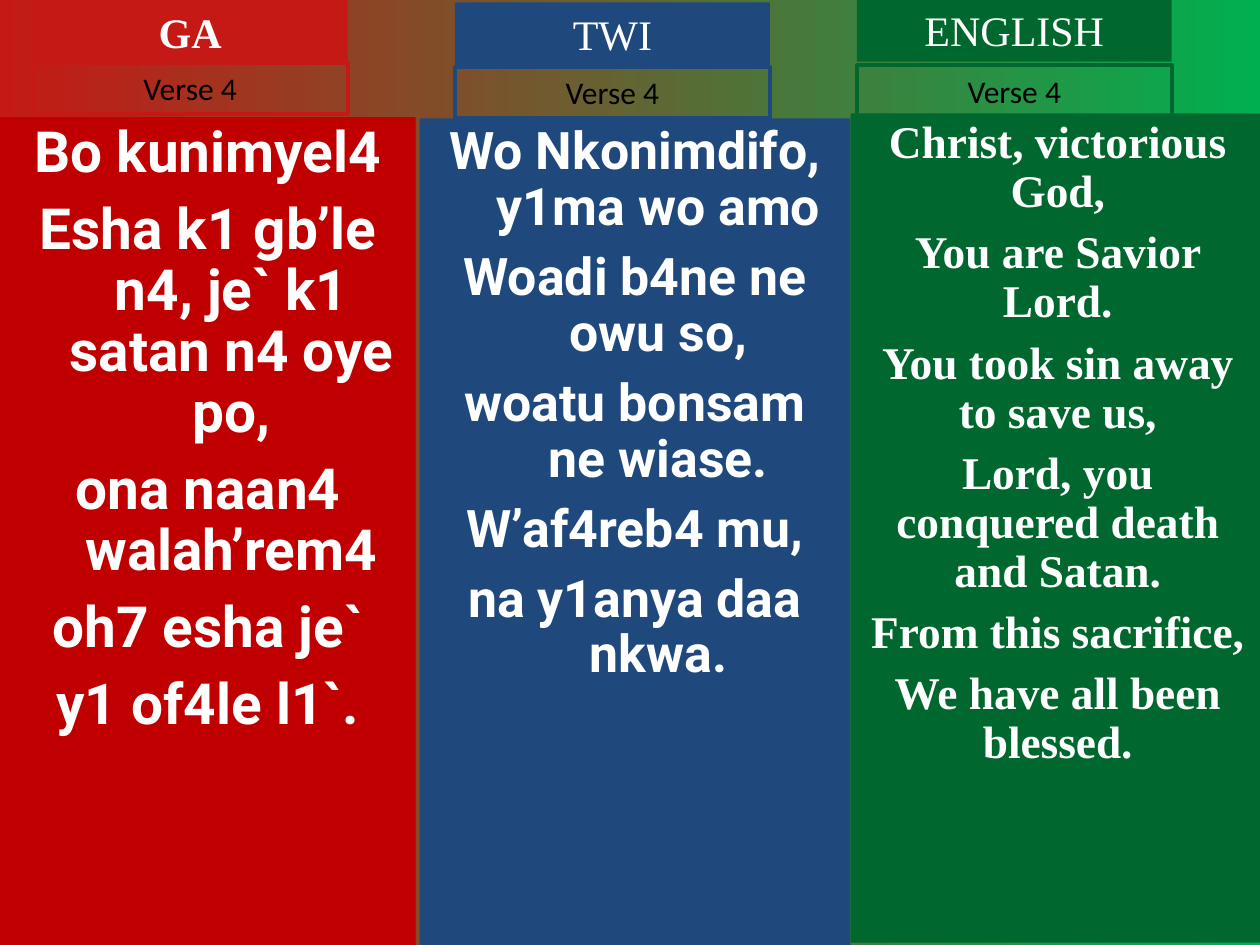
from pptx import Presentation
from pptx.dml.color import RGBColor
from pptx.enum.shapes import MSO_SHAPE
from pptx.enum.text import MSO_ANCHOR, MSO_AUTO_SIZE, PP_ALIGN
from pptx.util import Pt

HUES = {
    "red": "C51915", "deep": "C00000", "blue": "1F497D",
    "green": "00682F", "lime": "00B050", "white": "FFFFFF", "black": "000000",
}
SERIF = "Times New Roman"


class Deck:
    def __init__(self):
        self.prs = Presentation()
        self.prs.slide_width, self.prs.slide_height = Pt(720), Pt(540)
        self.slide = self.prs.slides.add_slide(self.prs.slide_layouts[6])

    def hue(self, name):
        return RGBColor.from_string(HUES[name])

    def back(self, start, end):
        fill = self.slide.background.fill
        fill.gradient()
        fill.gradient_angle = 0
        for stop, name, place in zip(fill.gradient_stops, (start, end), (0, 1)):
            stop.color.rgb = self.hue(name)
            stop.position = place

    def box(self, area, text, font, size, ink="white", bold=False, fill=None, line=None):
        shape = self.slide.shapes.add_shape(MSO_SHAPE.RECTANGLE, *map(Pt, area))
        shape.shadow.inherit = False
        if fill:
            shape.fill.solid()
            shape.fill.fore_color.rgb = self.hue(fill)
        else:
            shape.fill.background()
        if line:
            shape.line.color.rgb = self.hue(line)
            shape.line.width = Pt(2.25)
        else:
            shape.line.fill.background()
        frame = shape.text_frame
        frame.word_wrap = True
        frame.vertical_anchor = MSO_ANCHOR.TOP
        frame.text = text
        for para in frame.paragraphs:
            para.alignment = PP_ALIGN.CENTER
            for run in para.runs:
                run.font.name, run.font.size, run.font.bold = font, Pt(size), bold
                run.font.color.rgb = self.hue(ink)
        return frame

    def title(self, left, top, text, fill, bold):
        frame = self.box((left, top, 180, 36), text, SERIF, 24, bold=bold, fill=fill)
        frame.auto_size = MSO_AUTO_SIZE.SHAPE_TO_FIT_TEXT

    def label(self, left, top, text, line):
        frame = self.box((left, top, 180, 29), text, "Calibri", 18, ink="black", line=line)
        frame.auto_size = MSO_AUTO_SIZE.SHAPE_TO_FIT_TEXT

    def verse(self, area, lines, fill, font, size, gap, hang):
        frame = self.box(area, "\n".join(lines), font, size, bold=True, fill=fill)
        for num, para in enumerate(frame.paragraphs):
            para.line_spacing = 0.9
            para.space_before = Pt(gap if num else 0)
            props = para._p.get_or_add_pPr()
            props.set("marL", str(Pt(hang)))
            props.set("indent", str(Pt(-hang)))


GA = ["Bo kunimyel4", "Esha k1 gb’le n4, je` k1 satan n4 oye po,",
      "ona naan4 walah’rem4", "oh7 esha je`", "y1 of4le l1`."]
TWI = ["Wo Nkonimdifo, y1ma wo amo", "Woadi b4ne ne owu so,",
       "woatu bonsam ne wiase.", "W’af4reb4 mu,", "na y1anya daa nkwa."]
ENGLISH = ["Christ, victorious God,", "You are Savior Lord.",
           "You took sin away to save us,", "Lord, you conquered death and Satan.",
           "From this sacrifice,", "We have all been blessed."]


def main():
    deck = Deck()
    deck.back("red", "lime")
    deck.verse((0, 67, 237.6, 473), GA, "deep", "Roboto", 32.4, 8.8, 27)
    deck.verse((239.8, 67.7, 246.2, 472.3), TWI, "blue", "Roboto", 29.6, 8, 27)
    deck.verse((486, 64.8, 236.9, 473.8), ENGLISH, "green", SERIF, 25.9, 7, 0)
    heads = [
        ("GA", "red", 18.7, 0, 36, True),
        ("TWI", "blue", 260, 1.4, 38.2, False),
        ("ENGLISH", "green", 489.6, -0.7, 37.4, False),
    ]
    for name, fill, left, top, low, bold in heads:
        deck.title(left, top, name, fill, bold)
        deck.label(left, low, "Verse 4", fill)
    deck.prs.save("out.pptx")


if __name__ == "__main__":
    main()
